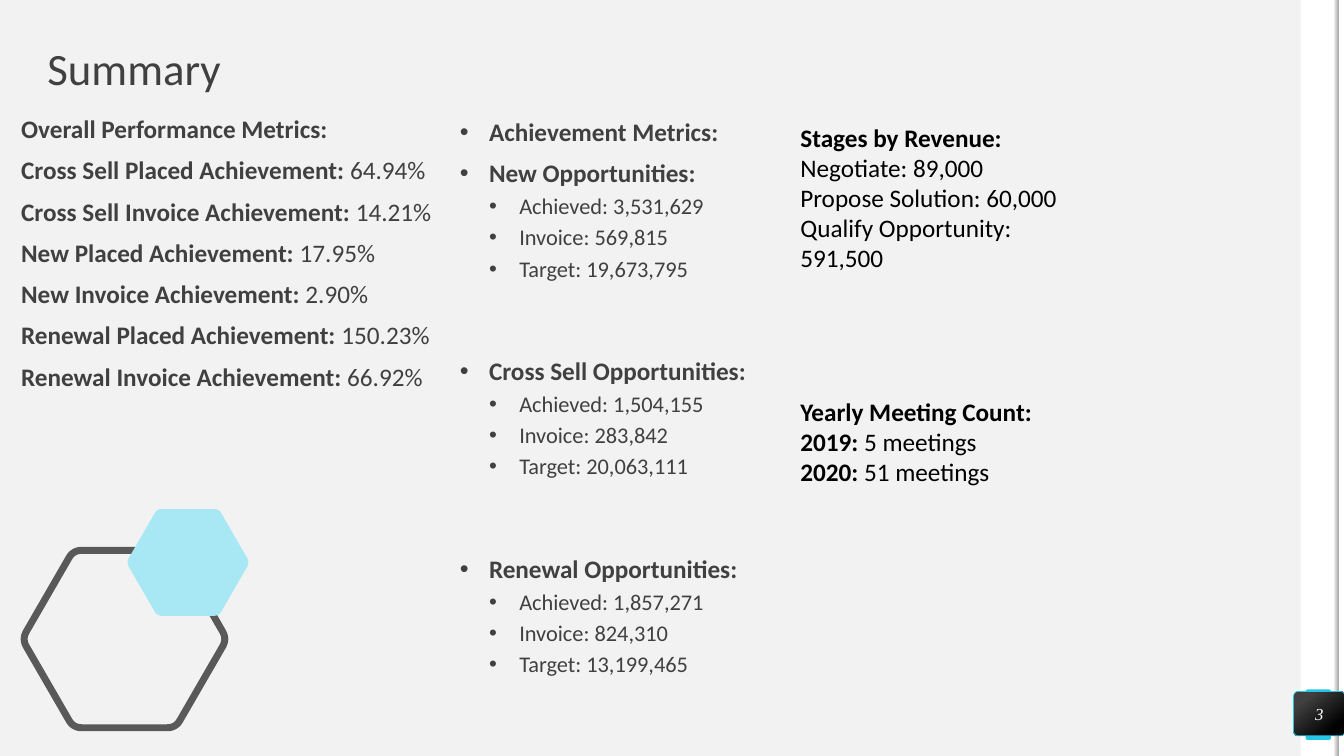
"""Build the summary slide with three text columns, hexagons and a page badge."""
from math import cos, sin, radians
from lxml.etree import SubElement
from pptx import Presentation
from pptx.dml.color import RGBColor as RGB
from pptx.enum.shapes import MSO_SHAPE as SHAPE
from pptx.enum.text import MSO_ANCHOR as ANCHOR, MSO_AUTO_SIZE as AUTO, PP_ALIGN as ALIGN
from pptx.oxml.ns import qn
from pptx.util import Pt

PX = 9144
COLORS = {name: RGB.from_string(code) for name, code in {
    "page": "F2F2F2", "white": "FFFFFF", "cyan": "25C6E3", "pale": "A8E8F4",
    "gray": "A6A6A6", "frame": "595959", "text": "404040", "black": "000000"}.items()}

deck = Presentation()
deck.slide_width, deck.slide_height = 1333 * PX, 750 * PX
slide = deck.slides.add_slide(deck.slide_layouts[6])
slide.background.fill.solid()
slide.background.fill.fore_color.rgb = COLORS["page"]
shapes = slide.shapes


def add_block(kind, box, fill, stops=(0, 1), angle=0):
    block = shapes.add_shape(kind, *[n * PX for n in box])
    block.shadow.inherit = False
    block.line.fill.background()
    if len(fill) == 1:
        block.fill.solid()
        block.fill.fore_color.rgb = COLORS[fill[0]]
    else:
        block.fill.gradient()
        block.fill.gradient_angle = angle
        for stop, name, place in zip(block.fill.gradient_stops, fill, stops):
            stop.color.rgb = COLORS[name]
            stop.position = place
    return block


def add_text(box, rows, color, tight=True):
    shape = shapes.add_textbox(*[n * PX for n in box])
    frame = shape.text_frame
    frame.word_wrap = True
    if tight:
        frame.margin_left = frame.margin_top = frame.margin_right = frame.margin_bottom = 0
    for i, (bold, plain, size, before) in enumerate(rows):
        para = frame.paragraphs[0] if i == 0 else frame.add_paragraph()
        para.line_spacing = 0.9 if tight else 1.0
        para.space_before = Pt(before)
        for text, heavy in ((bold, True), (plain, False)):
            if text:
                run = para.add_run()
                run.text = text
                run.font.name, run.font.size, run.font.bold = "Calibri", Pt(size), heavy
                run.font.color.rgb = COLORS[color]
    return shape


add_block(SHAPE.RECTANGLE, (1290, 0, 39, 750), ["white"])
tab = add_block(SHAPE.ROUNDED_RECTANGLE, (1295, 684, 25, 50), ["cyan"])
tab.adjustments[0] = 0.07
add_block(SHAPE.RECTANGLE, (1328, 0, 5, 750), ["white"])
add_block(SHAPE.RECTANGLE, (1323, 0, 5, 750), ["page", "gray"])

title = add_text((47, 47, 598, 47), [("", "Summary", 32, 0)], "text")
title.text_frame.vertical_anchor = ANCHOR.MIDDLE

overall = [
    ("Overall Performance Metrics:", ""),
    ("Cross Sell Placed Achievement:", " 64.94%"),
    ("Cross Sell Invoice Achievement:", " 14.21%"),
    ("New Placed Achievement:", " 17.95%"),
    ("New Invoice Achievement:", " 2.90%"),
    ("Renewal Placed Achievement:", " 150.23%"),
    ("Renewal Invoice Achievement:", " 66.92%"),
]
add_text((21, 116, 598, 36), [(*row, 18, 10) for row in overall], "text")

groups = [
    ("New", 10, ("3,531,629", "569,815", "19,673,795")),
    ("Cross Sell", 55, ("1,504,155", "283,842", "20,063,111")),
    ("Renewal", 55, ("1,857,271", "824,310", "13,199,465")),
]
rows = [("Achievement Metrics:", "", 18, 10)]
for name, gap, values in groups:
    rows.append((f"{name} Opportunities:", "", 18, gap))
    for label, value in zip(("Achieved", "Invoice", "Target"), values):
        rows.append(("", f"{label}: {value}", 16, 5))
goals = add_text((456, 119, 321, 246), rows, "text")
for para, row in zip(goals.text_frame.paragraphs, rows):
    para.level = 0 if row[0] else 1
    margin, indent = ((29, -29), (59, -30))[para.level]
    props = para._p.get_or_add_pPr()
    props.set("marL", str(margin * PX))
    props.set("indent", str(indent * PX))
    SubElement(props, qn("a:buFont")).set("typeface", "Arial")
    SubElement(props, qn("a:buChar")).set("char", "•")

hexes = []
for mid_x, mid_y, size in ((1235, 6340, 1016), (1865, 5580, 612)):
    mid_x, mid_y, size = [n * PX / 10 for n in (mid_x, mid_y, size)]
    tips = [(mid_x + size * cos(radians(a)), mid_y + size * sin(radians(a)))
            for a in range(0, 360, 60)]
    points = []
    for i, tip in enumerate(tips):
        near, far = [[t + (o - t) / 12 for t, o in zip(tip, other)]
                     for other in (tips[i - 1], tips[(i + 1) % 6])]
        for step in range(9):
            t = step / 8
            points.append([round((1 - t) ** 2 * a + 2 * t * (1 - t) * b + t * t * c)
                           for a, b, c in zip(near, tip, far)])
    pen = shapes.build_freeform(*points[0])
    pen.add_line_segments(points[1:], close=True)
    hexes.append(pen.convert_to_shape())
    hexes[-1].shadow.inherit = False
frame_hex, pale_hex = hexes
frame_hex.fill.background()
frame_hex.line.color.rgb = COLORS["frame"]
frame_hex.line.width = Pt(5)
pale_hex.fill.solid()
pale_hex.fill.fore_color.rgb = COLORS["pale"]
pale_hex.line.fill.background()

badge = add_block(SHAPE.ROUNDED_RECTANGLE, (1283, 686, 51, 44), ["text", "black"], (0.2, 0.82), 310)
badge.adjustments[0] = 0.1
badge.line.color.rgb = COLORS["cyan"]
badge.line.width = Pt(0.5)
label = badge.text_frame
label.margin_left = label.margin_top = label.margin_right = label.margin_bottom = 0
label.vertical_anchor = ANCHOR.MIDDLE
label.text = "3"
label.paragraphs[0].alignment = ALIGN.CENTER
font = label.paragraphs[0].runs[0].font
font.name, font.size, font.italic = "Times New Roman", Pt(12), True
font.color.rgb = COLORS["white"]

stages = [
    ("Stages by Revenue:", "", 18, 0),
    ("", "Negotiate: 89,000", 18, 0),
    ("", "Propose Solution: 60,000", 18, 0),
    ("", "Qualify Opportunity: 591,500", 18, 0),
    ("Yearly Meeting Count:", "", 18, 88),
    ("2019:", " 5 meetings", 18, 0),
    ("2020:", " 51 meetings", 18, 0),
]
side = add_text((784, 116, 303, 404), stages, "black", tight=False)
side.text_frame.auto_size = AUTO.SHAPE_TO_FIT_TEXT

deck.save("out.pptx")
